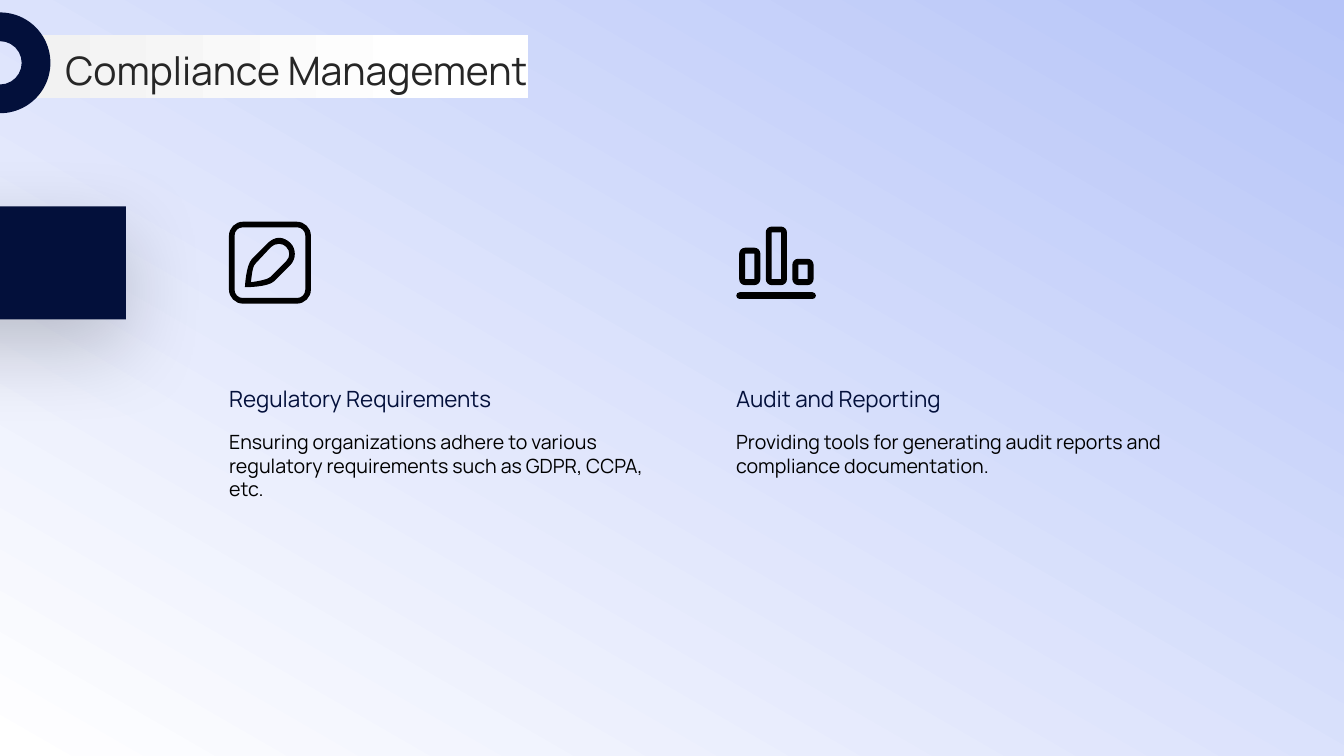
from lxml.etree import SubElement
from pptx import Presentation
from pptx.dml.color import RGBColor
from pptx.enum.shapes import MSO_SHAPE
from pptx.enum.text import MSO_ANCHOR
from pptx.oxml.ns import qn
from pptx.util import Pt

COLORS = {
    "navy": "03103B",
    "black": "000000",
    "heading": "262626",
    "periwinkle": "B6C4F8",
    "backdrop": "AABDFB",
    "pale": "F2F2F2",
    "white": "FFFFFF",
}


def rounded_box(left, top, width, height, radius):
    right, bottom, k = left + width, top + height, radius * 0.45
    if not radius:
        return [(left, top), (left, bottom), (right, bottom), (right, top)]
    return [
        (left + radius, top),
        (right - radius, top),
        (right - k, top, right, top + k, right, top + radius),
        (right, bottom - radius),
        (right, bottom - k, right - k, bottom, right - radius, bottom),
        (left + radius, bottom),
        (left + k, bottom, left, bottom - k, left, bottom - radius),
        (left, top + radius),
        (left, top + k, left + k, top, left + radius, top),
    ]


def frame(left, top, width, height, radius, border, inner_radius):
    return [
        rounded_box(left, top, width, height, radius),
        rounded_box(left + border, top + border, width - 2 * border, height - 2 * border, inner_radius),
    ]


class SlideBuilder:
    """Draws styled elements on one slide, with lengths in points."""

    font = "Manrope"

    def __init__(self, slide):
        self.slide = slide

    def color(self, name):
        return RGBColor.from_string(COLORS[name])

    def gradient(self, fill, start, end, angle, last=1):
        fill.gradient()
        fill.gradient_angle = angle
        for stop, name, position in zip(fill.gradient_stops, (start, end), (0, last)):
            stop.color.rgb = self.color(name)
            stop.position = position

    def background(self, start, end, angle):
        self.gradient(self.slide.background.fill, start, end, angle)

    def plain(self, shape, fill=None):
        shape.shadow.inherit = False
        shape.line.fill.background()
        if fill:
            shape.fill.solid()
            shape.fill.fore_color.rgb = self.color(fill)
        return shape

    def shape(self, preset, left, top, width, height, fill=None):
        return self.plain(
            self.slide.shapes.add_shape(preset, Pt(left), Pt(top), Pt(width), Pt(height)), fill
        )

    def gradient_panel(self, box, start, end, angle, last=1, mirrored=False):
        panel = self.shape(MSO_SHAPE.RECTANGLE, *box)
        self.gradient(panel.fill, start, end, angle, last)
        if mirrored:
            panel._element.spPr.find(qn("a:xfrm")).set("flipH", "1")

    def shadowed_block(self, box, fill):
        block = self.shape(MSO_SHAPE.RECTANGLE, *box, fill)
        block.rotation = 90
        effects = block._element.spPr.find(qn("a:effectLst"))
        shadow = SubElement(
            effects, qn("a:outerShdw"), blurRad=str(Pt(60)), dist=str(Pt(20)),
            dir="5400000", algn="ctr", rotWithShape="0",
        )
        tint = SubElement(shadow, qn("a:srgbClr"), val=COLORS["black"])
        SubElement(tint, qn("a:alpha"), val="20000")

    def half_ring(self, box, thickness, fill):
        ring = self.shape(MSO_SHAPE.BLOCK_ARC, *box, fill)
        ring.rotation = 90
        for index, value in enumerate((108, 0, thickness)):
            ring.adjustments[index] = value

    def icon(self, contours, fill):
        builder = None
        for start, *segments in contours:
            corner = [Pt(value) for value in start]
            if builder:
                builder.move_to(*corner)
            else:
                builder = self.slide.shapes.build_freeform(*corner)
            vertices = [
                (Pt(x), Pt(y)) for segment in segments for x, y in zip(segment[::2], segment[1::2])
            ]
            builder.add_line_segments(vertices, close=True)
        icon = self.plain(builder.convert_to_shape(), fill)
        self.bend(icon, [segment for contour in contours for segment in contour[1:]])

    def bend(self, icon, segments):
        steps = iter(list(icon._element.iter(qn("a:lnTo"))))
        for segment in segments:
            step = next(steps)
            if len(segment) == 6:
                step.tag = qn("a:cubicBezTo")
                for _ in range(2):
                    extra = next(steps)
                    step.append(extra[0])
                    extra.getparent().remove(extra)

    def text(self, words, box, size, color, anchor=MSO_ANCHOR.TOP):
        text_frame = self.slide.shapes.add_textbox(*(Pt(length) for length in box)).text_frame
        text_frame.word_wrap = True
        text_frame.vertical_anchor = anchor
        text_frame.margin_left = text_frame.margin_right = Pt(0)
        text_frame.margin_top = text_frame.margin_bottom = Pt(0)
        text_frame.text = words
        font = text_frame.paragraphs[0].runs[0].font
        font.name = self.font
        font.size = Pt(size)
        font.color.rgb = self.color(color)


def pencil_icon():
    hollow = [
        (199.4, 174.2),
        (197.3, 174.2, 195.1, 175, 193.7, 176.4),
        (182.9, 187.9),
        (180.7, 189.4, 180, 195.1, 179.3, 201.6),
        (185, 200.9, 191.5, 199.4, 193, 198),
        (204.5, 186.5),
        (207.4, 183.6, 207.4, 179.3, 204.5, 176.4),
        (203, 175, 201.6, 174.2, 199.4, 174.2),
    ]
    body = [
        (199.4, 169.9),
        (202.3, 169.9, 205.2, 171.4, 207.4, 173.5),
        (211.7, 177.8, 211.7, 185, 207.4, 189.4),
        (195.8, 200.9),
        (191.5, 205.2, 175, 205.2, 175, 205.2),
        (175, 205.2, 175.7, 189.4, 180, 185),
        (191.5, 173.5),
        (193.7, 171.4, 196.6, 169.9, 199.4, 169.9),
    ]
    return [hollow, body] + frame(163.6, 158.4, 58.5, 58.5, 10, 4, 5.8)


def bars_icon():
    contours = []
    for index, top in enumerate((177, 161.9, 184.9)):
        contours += frame(528 + 19 * index, top, 15.1, 203.7 - top, 4.2, 4.2, 0)
    return contours + [rounded_box(525.9, 208.8, 56.9, 4.8, 2.4)]


def main():
    deck = Presentation()
    deck.slide_width, deck.slide_height = Pt(960), Pt(540)
    page = SlideBuilder(deck.slides.add_slide(deck.slide_layouts[6]))

    page.background("backdrop", "white", 300)
    page.gradient_panel((0, 0, 960, 540), "periwinkle", "white", 300, mirrored=True)
    page.shadowed_block((-40.4, 97.8, 80.6, 180), "navy")
    for contours in (pencil_icon(), bars_icon()):
        page.icon(contours, "black")

    topics = [
        (163.7, 297, "Regulatory Requirements",
         "Ensuring organizations adhere to various regulatory requirements such as GDPR, CCPA, etc."),
        (525.8, 310, "Audit and Reporting",
         "Providing tools for generating audit reports and compliance documentation."),
    ]
    for left, width, topic, summary in topics:
        page.text(topic, (left, 231.8, width, 62.6), 16, "navy", MSO_ANCHOR.BOTTOM)
        page.text(summary, (left, 307.2, width, 166.3), 14, "black")

    page.gradient_panel((23.8, 25.2, 353.5, 44.6), "pale", "white", 0, 0.8)
    page.text("Compliance Management", (46.7, 31.7, 855.4, 36.7), 28, "heading", MSO_ANCHOR.MIDDLE)
    page.half_ring((-36, 8.9, 72, 72), 0.285, "navy")
    deck.save("out.pptx")


if __name__ == "__main__":
    main()
